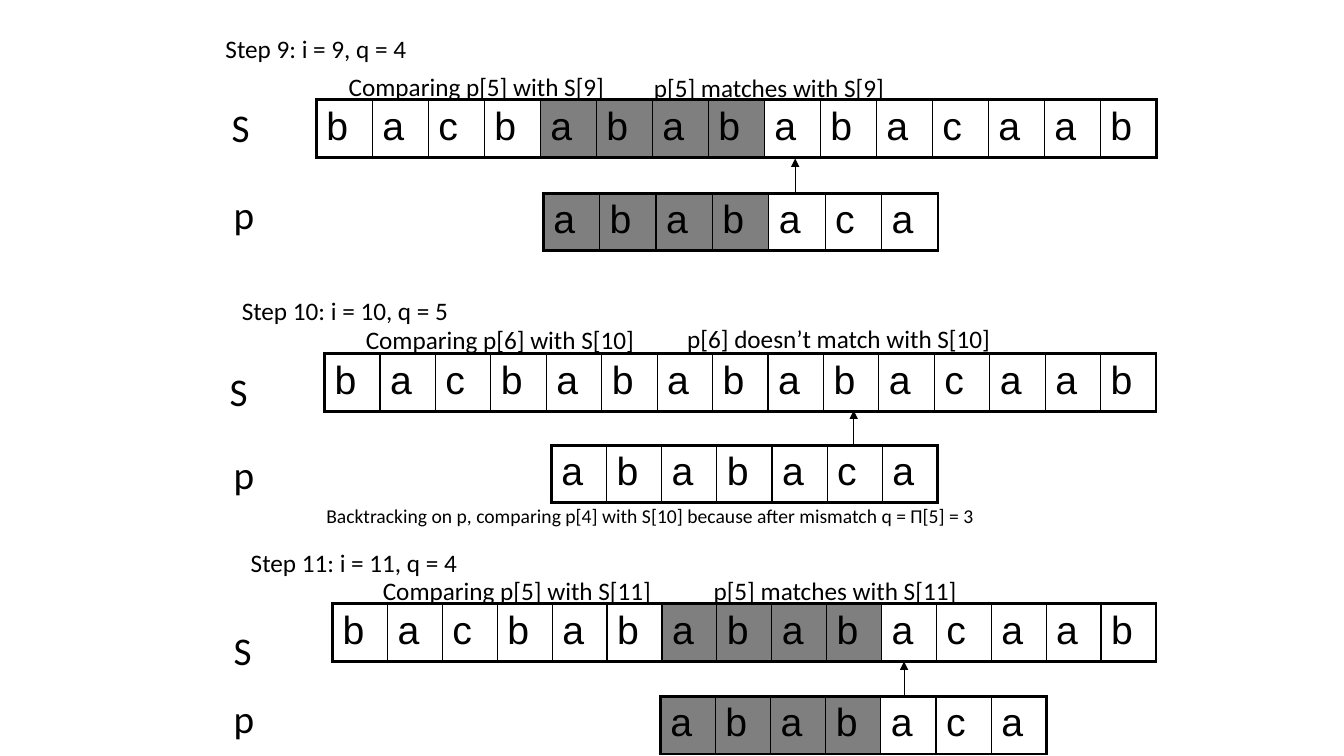
from pptx import Presentation
from pptx.dml.color import RGBColor
from pptx.enum.shapes import MSO_CONNECTOR
from pptx.enum.text import MSO_AUTO_SIZE
from pptx.oxml.ns import qn
from pptx.util import Pt
from lxml import etree

STRAIGHT = MSO_CONNECTOR.STRAIGHT
FIT_SHAPE = MSO_AUTO_SIZE.SHAPE_TO_FIT_TEXT

COLORS = {"ink": "000000"}
INK = RGBColor.from_string(COLORS["ink"])
TEXT = "bacbabababacaab"
PATTERN = "ababaca"
ROW_H = 41
TEXT_RIGHT = 826
THIN, THICK = 1, 2.25

# One entry per step: places are (left, top) or (left, top, width)
STEPS = [
    {"title": ("Step 9: i = 9, q = 4", 154, 23, 180),
     "compare": ("Comparing p[5] with S[9]", 242, 47.5, 199),
     "result": ("p[5] matches with S[9]", 460, 48.2, 181),
     "S": (158.4, 70.6), "p": (159.8, 132.5),
     "text": (226, 71.3), "pattern": (388, 138.2, 282),
     "text_shade": range(4, 8), "pattern_shade": range(4), "arrow": 568},
    {"title": ("Step 10: i = 10, q = 5", 165.6, 209.5, 204),
     "compare": ("Comparing p[6] with S[10]", 254.2, 228.2, 208),
     "result": ("p[6] doesn’t match with S[10]", 483.8, 227.5, 233),
     "S": (157, 258.5), "p": (159.8, 318.2),
     "text": (231.8, 252.7), "pattern": (393.8, 318.2, 276),
     "text_shade": (), "pattern_shade": (), "arrow": 609.8},
    {"title": ("Step 11: i = 11, q = 4", 172, 389.5, 276),
     "compare": ("Comparing p[5] with S[11]", 266.4, 407.5, 208),
     "result": ("p[5] matches with S[11]", 502.6, 407.5, 190),
     "S": (159.8, 444.2), "p": (159.8, 492.5),
     "text": (237.6, 431.3), "pattern": (471.6, 497.5, 276),
     "text_shade": range(6, 10), "pattern_shade": range(4), "arrow": 645.8},
]

prs = Presentation()
prs.slide_width, prs.slide_height = Pt(960), Pt(540)
s = prs.slides.add_slide(prs.slide_layouts[6])


def add_label(text, x, y, w, h=28.8, size=18, wrap=False, fit=True):
    tf = s.shapes.add_textbox(Pt(x), Pt(y), Pt(w), Pt(h)).text_frame
    tf.word_wrap = wrap
    if fit:
        tf.auto_size = FIT_SHAPE
    p = tf.paragraphs[0]
    p.text = text
    if not fit:
        p.line_spacing = 0.9
    font = p.runs[0].font
    font.name, font.size = "Calibri", Pt(size)
    font.color.rgb = INK


def add_letters(letters, x, y, w, shaded):
    n = len(letters)
    tbl = s.shapes.add_table(1, n, Pt(x), Pt(y), Pt(w), Pt(ROW_H)).table
    tbl.first_row = tbl.horz_banding = False
    for i, letter in enumerate(letters):
        tbl.columns[i].width = Pt(w / n)
        cell = tbl.cell(0, i)
        cell.text = letter
        font = cell.text_frame.paragraphs[0].runs[0].font
        font.name, font.size = "Arial", Pt(28)
        font.color.rgb = INK
        # Thick outer frame, thin inner dividers
        tc_pr = cell._tc.get_or_add_tcPr()
        widths = {"L": THICK if i == 0 else THIN,
                  "R": THICK if i == n - 1 else THIN,
                  "T": THICK, "B": THICK}
        for side, width in widths.items():
            ln = etree.SubElement(tc_pr, qn("a:ln" + side), w=str(Pt(width)))
            fill = etree.SubElement(ln, qn("a:solidFill"))
            etree.SubElement(fill, qn("a:srgbClr"), val=COLORS["ink"])
        # Matched letters are half-transparent black
        if i in shaded:
            cell.fill.solid()
            cell.fill.fore_color.rgb = INK
            color = tc_pr.find(qn("a:solidFill"))[0]
            etree.SubElement(color, qn("a:alpha"), val="50000")
        else:
            cell.fill.background()


for step in STEPS:
    # Headings and row names
    add_label(*step["title"], h=18, wrap=True, fit=False)
    add_label(*step["compare"])
    add_label("S", *step["S"], 27.4, 41, 28)
    add_label("p", *step["p"], 30.2, 41, 28)

    # Text row above pattern row
    left, top = step["text"]
    add_letters(TEXT, left, top, TEXT_RIGHT - left, step["text_shade"])
    add_letters(PATTERN, *step["pattern"], step["pattern_shade"])
    add_label(*step["result"])

    # Arrow from the pattern up to the compared letter
    x, y = step["arrow"], step["pattern"][1]
    arrow = s.shapes.add_connector(STRAIGHT, Pt(x), Pt(y - 0.5), Pt(x), Pt(y - 25))
    arrow.line.color.rgb = INK
    arrow.line.width = Pt(0.75)
    etree.SubElement(arrow.line._get_or_add_ln(), qn("a:tailEnd"), type="triangle")
    etree.SubElement(arrow._element.spPr, qn("a:effectLst"))

# Note on the mismatch in step 10
add_label("Backtracking on p, comparing p[4] with S[10] because after mismatch q = Π[5] = 3",
          226, 356.4, 612, 41, 14, wrap=True)

prs.save("out.pptx")
